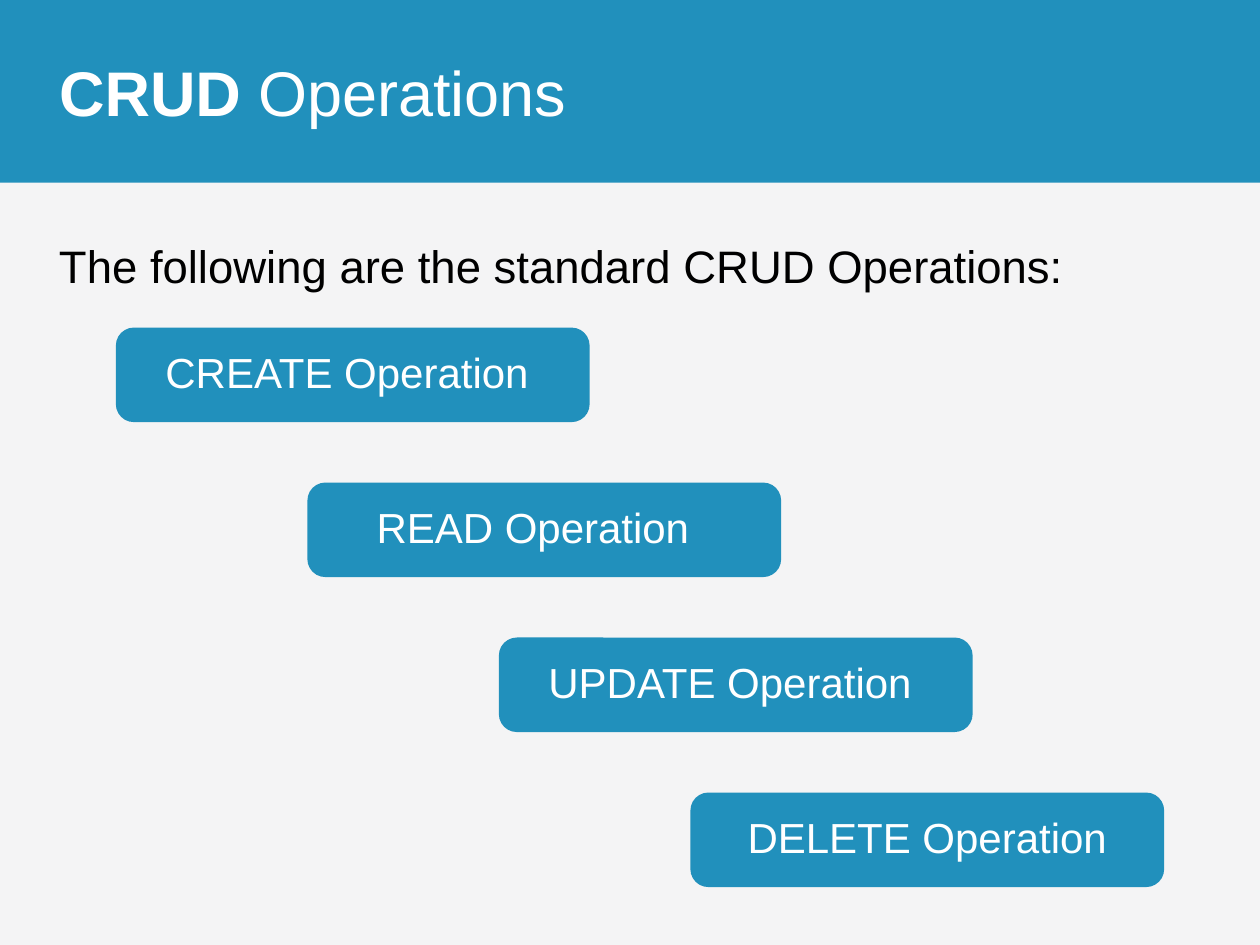
from pptx import Presentation
from pptx.dml.color import RGBColor
from pptx.enum.shapes import MSO_SHAPE
from pptx.enum.text import MSO_ANCHOR, PP_ALIGN
from pptx.util import Inches, Pt

RECTANGLE, ROUNDED = MSO_SHAPE.RECTANGLE, MSO_SHAPE.ROUNDED_RECTANGLE
MIDDLE, TOP = MSO_ANCHOR.MIDDLE, MSO_ANCHOR.TOP
LEFT, CENTER, JUSTIFY = PP_ALIGN.LEFT, PP_ALIGN.CENTER, PP_ALIGN.JUSTIFY

BLUE, PALE, WHITE, BLACK = "2190BC", "F4F4F5", "FFFFFF", "000000"
WIDTH, HEIGHT = 10, 7.5
MARGIN = 0.37
BANNER_HEIGHT = 1.45
STEP_LEFT, STEP_TOP = 0.92, 2.6
STEP_WIDTH, STEP_HEIGHT = 3.76, 0.75
STEP_RIGHT, STEP_DOWN = 1.52, 1.23
# Operation name and extra right inset, which moves the label off centre
STEPS = [("CREATE", 0.09), ("READ", 0.18), ("UPDATE", 0.09), ("DELETE", 0)]


def paint(color_format, hex_color):
    color_format.rgb = RGBColor.from_string(hex_color)


def add_block(slide, preset, *box):
    block = slide.shapes.add_shape(preset, *map(Inches, box))
    block.shadow.inherit = False
    block.fill.solid()
    paint(block.fill.fore_color, BLUE)
    block.line.fill.background()
    return block


def write(frame, runs, size, color, anchor=MIDDLE, insets=(0.1, 0.05, 0.1, 0.05),
          **paragraph_format):
    """Fill a frame with one paragraph of (text, bold) runs."""
    frame.word_wrap = True
    frame.vertical_anchor = anchor
    for side, inset in zip(("left", "top", "right", "bottom"), insets):
        setattr(frame, f"margin_{side}", Inches(inset))
    paragraph = frame.paragraphs[0]
    for name, value in paragraph_format.items():
        setattr(paragraph, name, value)
    for text, bold in runs:
        run = paragraph.add_run()
        run.text = text
        for name, value in {"name": "Arial", "size": Pt(size), "bold": bold}.items():
            setattr(run.font, name, value)
        paint(run.font.color, color)


def add_text(slide, box, *args, **kwargs):
    write(slide.shapes.add_textbox(*map(Inches, box)).text_frame, *args, **kwargs)


def add_step(slide, index, operation, extra_inset):
    block = add_block(slide, ROUNDED, STEP_LEFT + index * STEP_RIGHT,
                      STEP_TOP + index * STEP_DOWN, STEP_WIDTH, STEP_HEIGHT)
    block.adjustments[0] = 0.19
    write(block.text_frame, [(f"{operation} Operation", False)], 24, WHITE,
          insets=(0.14, 0.09, 0.14 + extra_inset, 0.09),
          alignment=CENTER, line_spacing=0.9)


def main():
    deck = Presentation()
    deck.slide_width, deck.slide_height = Inches(WIDTH), Inches(HEIGHT)
    slide = deck.slides.add_slide(deck.slide_layouts[6])
    slide.background.fill.solid()
    paint(slide.background.fill.fore_color, PALE)

    add_block(slide, RECTANGLE, 0, 0, WIDTH, BANNER_HEIGHT)
    add_text(slide, (MARGIN, 1.62, 9.14, 0.81),
             [("The following are the standard CRUD Operations:", False)],
             26, BLACK, anchor=TOP, alignment=JUSTIFY, line_spacing=1.5)
    add_text(slide, (MARGIN, 0, 8.62, BANNER_HEIGHT),
             [("CRUD", True), ("\N{NO-BREAK SPACE}Operations", False)],
             36, WHITE, alignment=LEFT)
    for index, (operation, extra_inset) in enumerate(STEPS):
        add_step(slide, index, operation, extra_inset)

    deck.save("out.pptx")


if __name__ == "__main__":
    main()
